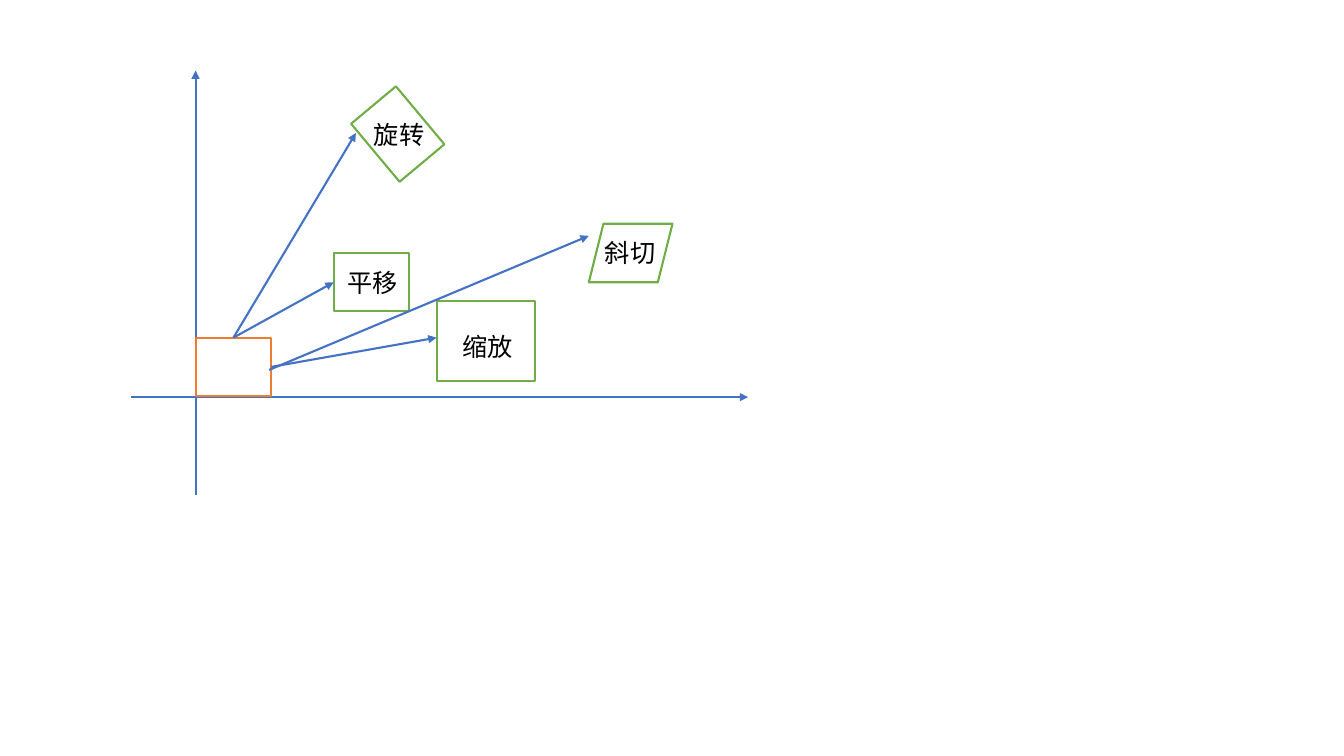
from lxml import etree
from pptx import Presentation
from pptx.dml.color import RGBColor
from pptx.enum.shapes import MSO_CONNECTOR, MSO_SHAPE
from pptx.enum.text import MSO_AUTO_SIZE
from pptx.oxml.ns import qn
from pptx.util import Emu, Pt

PX = 9144  # 100 px to the inch
LINE = MSO_CONNECTOR.STRAIGHT
RECT = MSO_SHAPE.RECTANGLE
SKEW = MSO_SHAPE.PARALLELOGRAM
FIT = MSO_AUTO_SIZE.SHAPE_TO_FIT_TEXT
TOP, LEFT, RIGHT = 0, 1, 3
FONT = "Noto Sans CJK SC"

BLUE = RGBColor(0x44, 0x72, 0xC4)
ORANGE = RGBColor(0xED, 0x7D, 0x31)
GREEN = RGBColor(0x70, 0xAD, 0x47)
WHITE = RGBColor(0xFF, 0xFF, 0xFF)
BLACK = RGBColor(0, 0, 0)


def px(*nums):
    return [Emu(n * PX) for n in nums]


def add_arrow(slide, start, end):
    arrow = slide.shapes.add_connector(LINE, *px(*start, *end))
    arrow.line.color.rgb = BLUE
    arrow.line.width = Pt(1.5)
    tail = etree.SubElement(arrow.line._get_or_add_ln(), qn("a:tailEnd"))
    tail.set("type", "triangle")
    etree.SubElement(arrow._element.spPr, qn("a:effectLst"))
    return arrow


def add_box(slide, kind, box, color, fill=WHITE, turn=0):
    shape = slide.shapes.add_shape(kind, *px(*box))
    shape.shadow.inherit = False
    shape.rotation = turn
    if fill is None:
        shape.fill.background()
    else:
        shape.fill.solid()
        shape.fill.fore_color.rgb = fill
    shape.line.color.rgb = color
    shape.line.width = Pt(1.5)
    return shape


def add_label(slide, left, top, text):
    frame = slide.shapes.add_textbox(*px(left, top, 71, 40)).text_frame
    frame.word_wrap = False
    frame.auto_size = FIT
    run = frame.paragraphs[0].add_run()
    run.text = text
    font = run.font
    font.size = Pt(18)
    font.name = FONT
    font.color.rgb = BLACK
    east = etree.SubElement(run._r.get_or_add_rPr(), qn("a:ea"))
    east.set("typeface", FONT)


def draw_axes(slide, left, top, width, height):
    """Axes that cross 64 px from the left and 97 px from the bottom."""
    zero_x, zero_y = left + 64, top + height - 97
    add_arrow(slide, (left, zero_y), (left + width, zero_y))
    add_arrow(slide, (zero_x, top + height), (zero_x, top))
    return zero_x, zero_y


def draw_moves(slide, zero_x, zero_y):
    """Start box at the origin and its four transforms."""
    wide, high = 75, 58
    top = zero_y - high - 1
    start = add_box(slide, RECT, (zero_x, top, wide, high), ORANGE)
    above = (zero_x + 37, top)
    side = (zero_x + 74, top + 30)
    low = (zero_x + 73, top + 32)

    # name, kind, box, fill, turn, arrow start, arrow end, start site, end site, label
    moves = [
        ("平移", RECT, (137, -84, wide, high), WHITE, 0,
         above, (137, -55), TOP, LEFT, (141, -75)),
        ("缩放", RECT, (239, -36, 98, 79), WHITE, 0,
         side, (239, 0), RIGHT, None, (255, -11)),
        ("旋转", RECT, (163, -231, wide, high), WHITE, 50.1,
         above, (159, -203), TOP, None, (167, -222)),
        ("斜切", SKEW, (390, -113, 83, high), None, 0,
         low, (390, -101), None, None, (396, -104)),
    ]
    for name, kind, box, fill, turn, tail, tip, out, into, label in moves:
        x, y, w, h = box
        shape = add_box(slide, kind, (zero_x + x, top + y, w, h),
                        GREEN, fill, turn)
        arrow = add_arrow(slide, tail, (zero_x + tip[0], top + tip[1]))
        if out is not None:
            arrow.begin_connect(start, out)
        if into is not None:
            arrow.end_connect(shape, into)
        add_label(slide, zero_x + label[0], top + label[1], name)


def main():
    deck = Presentation()
    deck.slide_width, deck.slide_height = px(1333, 750)
    slide = deck.slides.add_slide(deck.slide_layouts[6])
    zero = draw_axes(slide, 130, 70, 612, 421)
    draw_moves(slide, *zero)
    deck.save("out.pptx")


if __name__ == "__main__":
    main()
